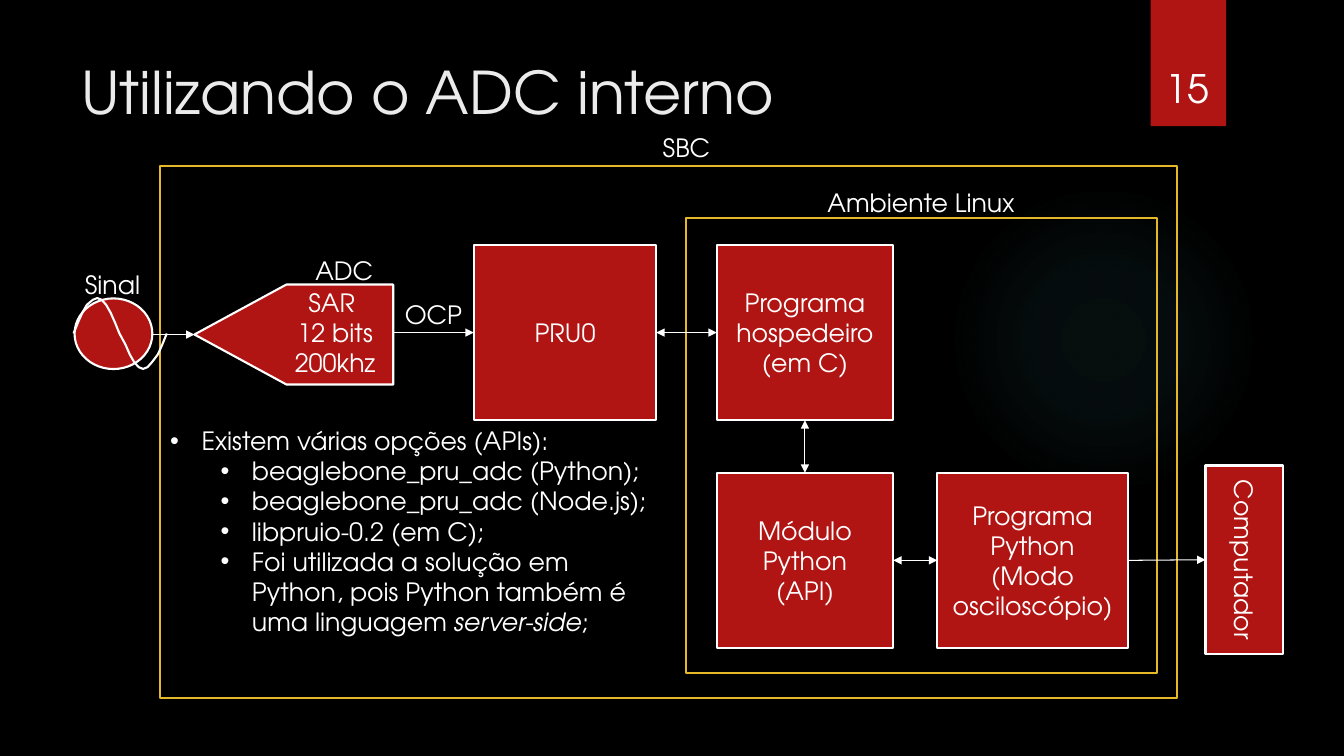
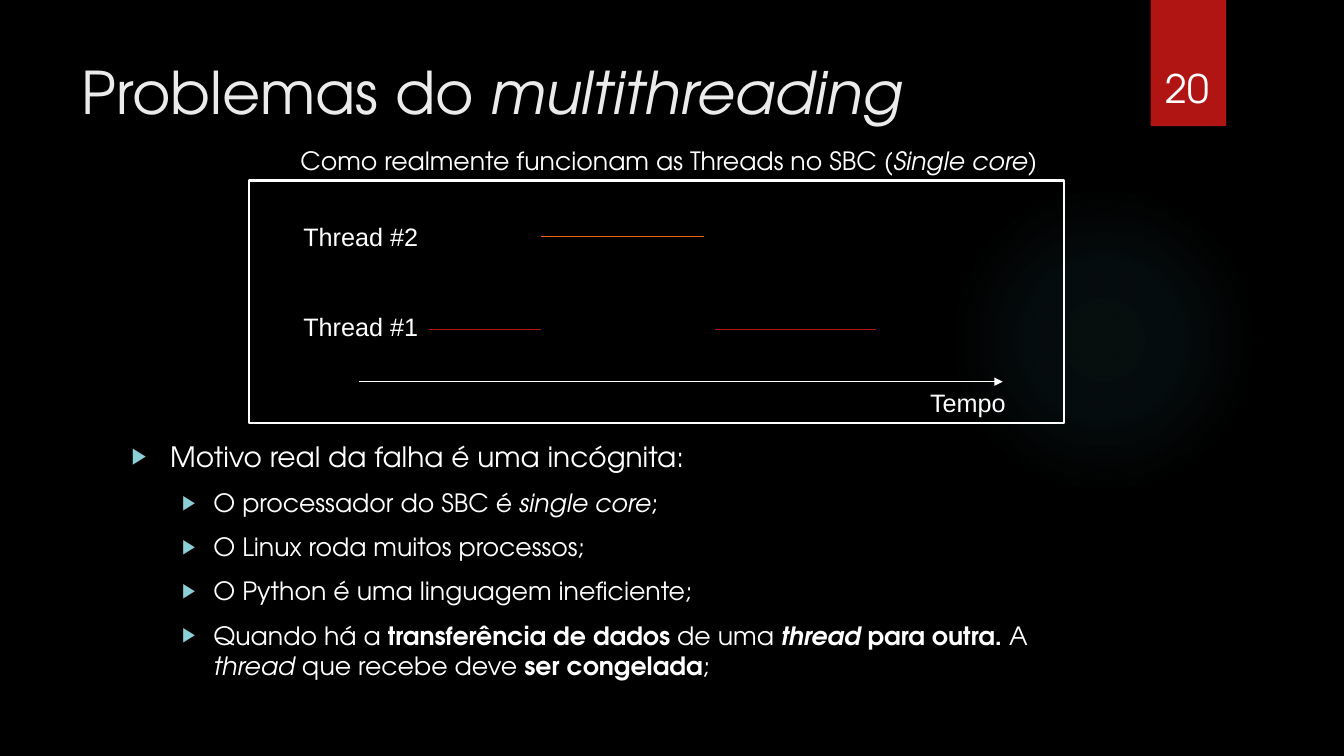
"""Build two dark slides on an internal ADC pipeline and on multithreading problems."""
import math
from dataclasses import dataclass
from typing import NamedTuple, Optional

from lxml import etree
from pptx import Presentation
from pptx import util as u
from pptx.chart.data import XyChartData
from pptx.dml.color import RGBColor
from pptx.enum import chart as charts, shapes, text
from pptx.oxml import parse_xml
from pptx.oxml.ns import nsdecls, qn

BLACK = RGBColor(0x00, 0x00, 0x00)
WHITE = RGBColor(0xFF, 0xFF, 0xFF)
TITLE_GRAY = RGBColor(0xEB, 0xEB, 0xEB)
RED = RGBColor(0xB0, 0x15, 0x13)
ORANGE = RGBColor(0xEA, 0x63, 0x12)
GOLD = RGBColor(0xE6, 0xB7, 0x29)
TEAL = RGBColor(0x50, 0xB9, 0xC1)
BULLET_BLUE = RGBColor(0x8A, 0xD0, 0xD6)

FONT = "TeX Gyre Adventor"
PLAIN_FONT = "Arial"
RECTANGLE = shapes.MSO_SHAPE.RECTANGLE
OVAL = shapes.MSO_SHAPE.OVAL
LEFT, CENTER, RIGHT = text.PP_ALIGN.LEFT, text.PP_ALIGN.CENTER, text.PP_ALIGN.RIGHT
TOP, MIDDLE, BOTTOM = text.MSO_ANCHOR.TOP, text.MSO_ANCHOR.MIDDLE, text.MSO_ANCHOR.BOTTOM
SIDE_TOP, SIDE_LEFT, SIDE_BOTTOM, SIDE_RIGHT = range(4)


class Box(NamedTuple):
    left: float
    top: float
    width: float
    height: float

    def lengths(self) -> list:
        return [u.Cm(value) for value in self]


class Span(NamedTuple):
    text: str
    bold: bool = False
    italic: bool = False


@dataclass(frozen=True)
class Bullet:
    char: str
    color: RGBColor
    percent: int


@dataclass(frozen=True)
class Line:
    spans: tuple
    level: int = 0
    size: float = 18


@dataclass(frozen=True)
class Style:
    size: Optional[float] = None
    color: RGBColor = WHITE
    font: str = FONT
    align: text.PP_ALIGN = CENTER
    anchor: text.MSO_ANCHOR = TOP
    wrap: bool = True
    bullet: Optional[Bullet] = None
    indents: tuple = (0.79, 2.06)
    hanging: tuple = (0.79, 0.79)
    space_before: float = 0


class Label(NamedTuple):
    text: str
    box: Box


class Segment(NamedTuple):
    start: float
    end: float
    y: float
    color: RGBColor


LABEL = Style()
BLOCK = Style(anchor=MIDDLE)
TITLE = Style(color=TITLE_GRAY, align=LEFT)
NUMBER = Style(anchor=BOTTOM)
DOTS = Style(align=LEFT, bullet=Bullet("•", WHITE, 100))
ARROWS = Style(align=LEFT, bullet=Bullet("▶", BULLET_BLUE, 80),
               indents=(0.97, 2.06), hanging=(0.97, 0.79), space_before=10)


def line(*parts, level: int = 0, size: float = 18) -> Line:
    spans = tuple(Span(part) if isinstance(part, str) else part for part in parts)
    return Line(spans, level, size)


def italic(words: str) -> Span:
    return Span(words, italic=True)


def bold(words: str) -> Span:
    return Span(words, bold=True)


def add_bullet(paragraph, style: Style, level: int) -> None:
    properties = paragraph._p.get_or_add_pPr()
    properties.set("marL", str(u.Cm(style.indents[level])))
    properties.set("indent", str(-u.Cm(style.hanging[level])))
    color = etree.SubElement(properties, qn("a:buClr"))
    etree.SubElement(color, qn("a:srgbClr"), val=str(style.bullet.color))
    etree.SubElement(properties, qn("a:buSzPct"), val=str(style.bullet.percent * 1000))
    etree.SubElement(properties, qn("a:buFont"), typeface=PLAIN_FONT)
    etree.SubElement(properties, qn("a:buChar"), char=style.bullet.char)


def write(shape, lines: list, style: Style) -> None:
    frame = shape.text_frame
    frame.word_wrap = style.wrap
    frame.vertical_anchor = style.anchor
    for index, content in enumerate(lines):
        paragraph = frame.add_paragraph() if index else frame.paragraphs[0]
        paragraph.alignment = style.align
        paragraph.level = content.level
        if style.bullet:
            add_bullet(paragraph, style, content.level)
        if index and style.space_before:
            paragraph.space_before = u.Pt(style.space_before)
        for span in content.spans:
            run = paragraph.add_run()
            run.text = span.text
            run.font.name = style.font
            run.font.size = u.Pt(content.size)
            run.font.color.rgb = style.color
            run.font.bold = span.bold
            run.font.italic = span.italic


def add_text(slide, box: Box, lines: list, style: Style = LABEL):
    shape = slide.shapes.add_textbox(*box.lengths())
    write(shape, lines, style)
    return shape


def paint(shape, fill: Optional[RGBColor], outline: Optional[RGBColor]) -> None:
    shape.shadow.inherit = False
    if fill is None:
        shape.fill.background()
    else:
        shape.fill.solid()
        shape.fill.fore_color.rgb = fill
    if outline is None:
        shape.line.fill.background()
    else:
        shape.line.color.rgb = outline
        shape.line.width = u.Pt(1.5)


def add_figure(slide, kind, box: Box, fill: Optional[RGBColor] = None,
               outline: Optional[RGBColor] = None):
    shape = slide.shapes.add_shape(kind, *box.lengths())
    paint(shape, fill, outline)
    return shape


def add_block(slide, box: Box, *lines: str):
    shape = add_figure(slide, RECTANGLE, box, RED, WHITE)
    write(shape, [line(words) for words in lines], BLOCK)
    return shape


def add_line(slide, start: tuple, end: tuple, color: RGBColor = WHITE,
             head: bool = False, tail: bool = False):
    points = [u.Cm(value) for value in (*start, *end)]
    connector = slide.shapes.add_connector(shapes.MSO_CONNECTOR.STRAIGHT, *points)
    connector.line.color.rgb = color
    connector.line.width = u.Pt(0.75)
    for present, tag in ((head, "a:headEnd"), (tail, "a:tailEnd")):
        if present:
            etree.SubElement(connector.get_or_add_ln(), qn(tag), type="triangle")
    etree.SubElement(connector._element.spPr, qn("a:effectLst"))
    return connector


def join(slide, first, first_side: int, second, second_side: int, both: bool = True) -> None:
    connector = add_line(slide, (0, 0), (1, 1), head=both, tail=True)
    connector.begin_connect(first, first_side)
    connector.end_connect(second, second_side)


def add_glow(slide) -> None:
    glow = add_figure(slide, OVAL, Box(23.9, 4.65, 7.82, 7.82))
    stops = "".join(
        f'<a:gs pos="{position * 1000}"><a:srgbClr val="{TEAL}">'
        f'<a:alpha val="{alpha * 1000}"/></a:srgbClr></a:gs>'
        for position, alpha in ((0, 7), (36, 6), (69, 0), (100, 0)))
    gradient = parse_xml(
        f'<a:gradFill {nsdecls("a")}><a:gsLst>{stops}</a:gsLst><a:path path="circle">'
        '<a:fillToRect l="50000" t="50000" r="50000" b="50000"/></a:path></a:gradFill>')
    properties = glow._element.spPr
    properties.replace(properties.find(qn("a:noFill")), gradient)


def add_base(presentation, title: tuple, number: str):
    slide = presentation.slides.add_slide(presentation.slide_layouts[6])
    slide.background.fill.solid()
    slide.background.fill.fore_color.rgb = BLACK
    add_glow(slide)
    add_figure(slide, RECTANGLE, Box(29, 0, 1.9, 3.18), RED)
    add_text(slide, Box(1.8, 1.27, 26.14, 3.89), [line(*title, size=42)], TITLE)
    add_text(slide, Box(28.75, 0.81, 2.34, 2.13), [line(number, size=28)], NUMBER)
    return slide


def add_sine(slide, box: Box) -> None:
    data = XyChartData()
    series = data.add_series("Series 1")
    for step in range(21):
        angle = step * math.pi / 10
        series.add_data_point(round(angle, 1), round(100 * math.sin(angle)))
    kind = charts.XL_CHART_TYPE.XY_SCATTER_SMOOTH_NO_MARKERS
    chart = slide.shapes.add_chart(kind, *box.lengths(), data).chart
    chart.has_legend = chart.has_title = False
    chart.font.name = FONT
    chart.font.size = u.Pt(10)
    chart.font.color.rgb = WHITE
    for axis, low, high in ((chart.category_axis, 0, 7), (chart.value_axis, -150, 150)):
        axis.minimum_scale, axis.maximum_scale = low, high
        axis.has_major_gridlines = False
        axis.visible = False
    plot = chart.plots[0]
    plot.vary_by_categories = False
    curve = plot.series[0]
    curve.smooth = True
    curve.format.line.color.rgb = WHITE
    curve.format.line.width = u.Pt(1.5)


def add_converter(slide) -> None:
    outline = [(4.9, 8.43), (7.22, 7.17), (9.91, 7.17), (9.91, 9.69), (7.22, 9.69)]
    points = [(u.Cm(x), u.Cm(y)) for x, y in outline]
    builder = slide.shapes.build_freeform(*points[0], scale=1.0)
    builder.add_line_segments(points[1:], close=True)
    paint(builder.convert_to_shape(), RED, WHITE)
    add_text(slide, Box(7.16, 7.11, 2.57, 2.57),
             [line("SAR "), line("12 bits"), line("200khz")], Style(wrap=False))


def build_adc_slide(presentation) -> None:
    slide = add_base(presentation, ("Utilizando o ADC interno",), "15")
    for frame in (Box(17.3, 5.49, 11.86, 11.48), Box(4.04, 4.19, 25.63, 13.41)):
        add_figure(slide, RECTANGLE, frame, outline=GOLD)
    add_converter(slide)
    add_figure(slide, OVAL, Box(1.88, 7.52, 1.96, 1.78), RED, WHITE)
    add_sine(slide, Box(1.8, 7.01, 2.72, 2.79))
    for label in (Label("OCP", Box(9.71, 7.42, 2.43, 1.02)),
                  Label("ADC", Box(7.24, 6.3, 2.87, 0.97)),
                  Label("Sinal", Box(1.63, 6.65, 2.41, 1.04)),
                  Label("Ambiente Linux", Box(19.3, 4.6, 7.82, 1.02)),
                  Label("SBC", Box(13.39, 3.2, 7.82, 1.02))):
        add_text(slide, label.box, [line(label.text)])

    processor = add_block(slide, Box(11.94, 6.17, 4.6, 4.42), "PRU0")
    host = add_block(slide, Box(18.06, 6.17, 4.45, 4.42), "Programa hospedeiro (em C)")
    module = add_block(slide, Box(18.06, 11.91, 4.45, 4.42), "Módulo Python", "(API)")
    scope = add_block(slide, Box(23.62, 11.91, 4.8, 4.42),
                      "Programa Python", "(Modo osciloscópio)")
    computer = add_block(slide, Box(30.38, 11.73, 1.96, 4.75), "Computador")
    computer.text_frame._txBody.bodyPr.set("vert", "vert")

    add_line(slide, (3.84, 8.43), (4.9, 8.43), tail=True)
    add_line(slide, (9.91, 8.38), (11.94, 8.38), tail=True).end_connect(processor, SIDE_LEFT)
    join(slide, processor, SIDE_RIGHT, host, SIDE_LEFT)
    join(slide, host, SIDE_BOTTOM, module, SIDE_TOP)
    join(slide, module, SIDE_RIGHT, scope, SIDE_LEFT)
    join(slide, scope, SIDE_RIGHT, computer, SIDE_LEFT, both=False)

    add_text(slide, Box(4.04, 10.59, 12.75, 6.4), [
        line("Existem várias opções (APIs):"),
        line("beaglebone_pru_adc (Python);", level=1),
        line("beaglebone_pru_adc (Node.js);", level=1),
        line("libpruio-0.2 (em C);", level=1),
        line("Foi utilizada a solução em Python, pois Python também é uma linguagem ",
             italic("server-side"), ";", level=1)], DOTS)


def build_threads_slide(presentation) -> None:
    slide = add_base(presentation, ("Problemas do ", italic("multithreading")), "20")
    add_text(slide, Box(3.07, 10.95, 24.84, 6.6), [
        line("Motivo real da falha é uma incógnita:", size=20),
        line("O processador do SBC é ", italic("single core"), ";", level=1),
        line("O Linux roda muitos processos;", level=1),
        line("O Python é uma linguagem ineficiente;", level=1),
        line("Quando há a ", bold("transferência de dados"), " de uma ",
             Span("thread", True, True), bold(" para outra. "), "A ", italic("thread"),
             " que recebe deve ", bold("ser congelada"), ";", level=1)], ARROWS)
    add_figure(slide, RECTANGLE, Box(6.27, 4.55, 20.55, 6.1), outline=WHITE)
    add_line(slide, (9.04, 9.62), (25.27, 9.62), tail=True)
    for segment in (Segment(10.8, 13.64, 8.31, RED), Segment(13.64, 17.73, 5.97, ORANGE),
                    Segment(18.01, 22.07, 8.31, RED)):
        add_line(slide, (segment.start, segment.y), (segment.end, segment.y), segment.color)
    for words, top in (("Thread #2", 5.46), ("Thread #1", 7.72)):
        add_text(slide, Box(6.27, top, 4.52, 1.02), [line(words)],
                 Style(font=PLAIN_FONT, align=RIGHT))
    add_text(slide, Box(23.19, 9.63, 7.9, 1.02), [line("Tempo")],
             Style(font=PLAIN_FONT, align=LEFT))
    add_text(slide, Box(7.32, 3.53, 19.81, 1.02),
             [line("Como realmente funcionam as Threads no SBC (", italic("Single core"), ")")],
             Style(align=LEFT))


def main() -> None:
    presentation = Presentation()
    presentation.slide_width, presentation.slide_height = u.Cm(33.87), u.Cm(19.05)
    build_adc_slide(presentation)
    build_threads_slide(presentation)
    presentation.save("out.pptx")


if __name__ == "__main__":
    main()
